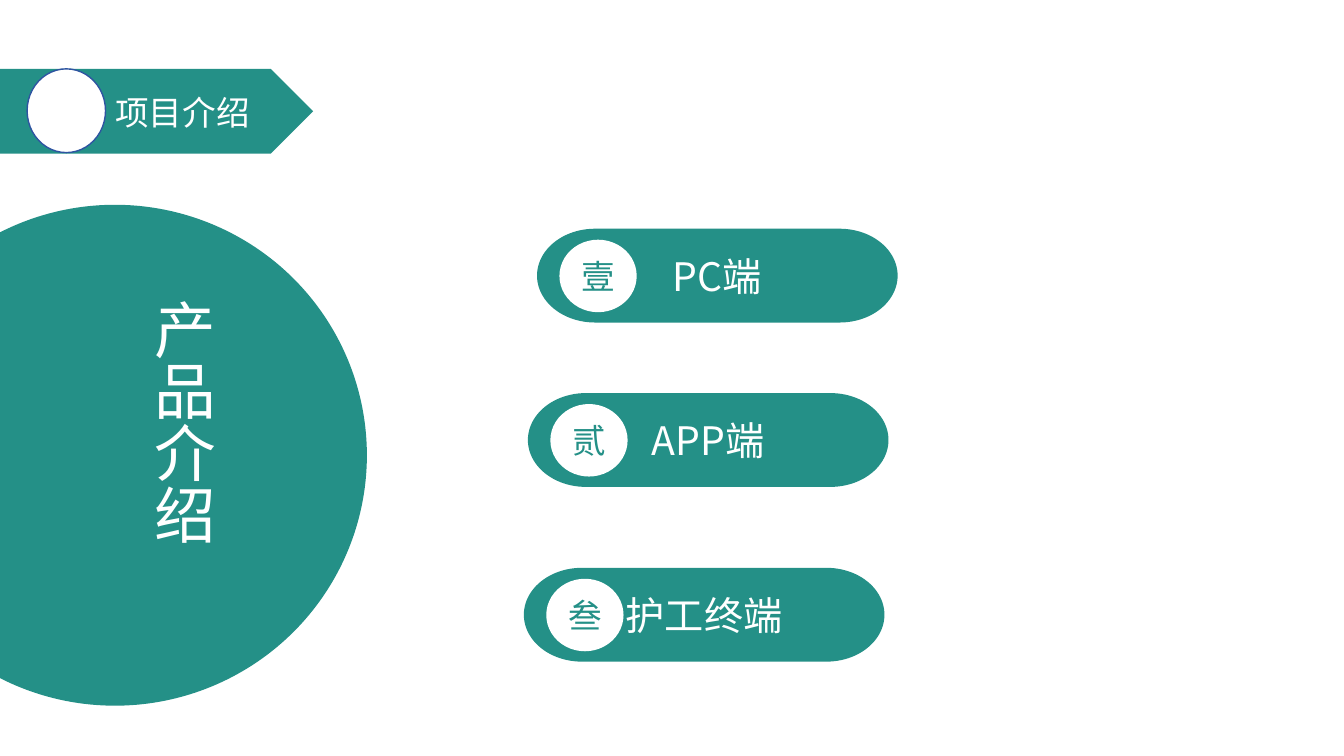
"""Build the product introduction slide with three numbered product ends."""
from lxml.etree import SubElement
from pptx import Presentation
from pptx.dml.color import RGBColor
from pptx.enum.shapes import MSO_SHAPE
from pptx.enum.text import MSO_ANCHOR, MSO_AUTO_SIZE, PP_ALIGN
from pptx.oxml.ns import qn
from pptx.util import Pt

COLORS = {"teal": "249087", "white": "FFFFFF", "navy": "2E54A1"}
FONT = "Noto Sans CJK JP"


def paint(shape, fill, line=None):
    shape.shadow.inherit = False
    shape.fill.solid()
    shape.fill.fore_color.rgb = RGBColor.from_string(COLORS[fill])
    if line:
        shape.line.color.rgb = RGBColor.from_string(COLORS[line])
        shape.line.width = Pt(1)
    else:
        shape.line.fill.background()
    return shape


def write(shape, text, size, color="white", align=PP_ALIGN.CENTER,
          anchor=MSO_ANCHOR.MIDDLE, wrap=False, fit=MSO_AUTO_SIZE.NONE):
    frame = shape.text_frame
    frame.word_wrap = wrap
    frame.auto_size = fit
    frame.vertical_anchor = anchor
    paragraph = frame.paragraphs[0]
    paragraph.alignment = align
    run = paragraph.add_run()
    run.text = text
    run.font.size = Pt(size)
    run.font.name = FONT
    run.font.color.rgb = RGBColor.from_string(COLORS[color])
    SubElement(run._r.get_or_add_rPr(), qn("a:ea")).set("typeface", FONT)


deck = Presentation()
deck.slide_width, deck.slide_height = Pt(960), Pt(540)
slide = deck.slides.add_slide(deck.slide_layouts[6])
shapes = slide.shapes

paint(shapes.add_shape(MSO_SHAPE.PENTAGON, Pt(0), Pt(49.2), Pt(223.7), Pt(60.5)), "teal")
paint(shapes.add_shape(MSO_SHAPE.OVAL, Pt(19.4), Pt(49.2), Pt(56), Pt(59.8)),
      "white", "navy")

section = shapes.add_textbox(Pt(75.2), Pt(61.9), Pt(123.1), Pt(36))
write(section, "项目介绍", 24, align=PP_ALIGN.LEFT, anchor=MSO_ANCHOR.TOP, wrap=True,
      fit=MSO_AUTO_SIZE.SHAPE_TO_FIT_TEXT)

paint(shapes.add_shape(MSO_SHAPE.OVAL, Pt(-97.9), Pt(146.3), Pt(360), Pt(357.8)), "teal")

product_ends = [
    ("壹", "PC端", 383.6, 163.4),
    ("贰", "APP端", 377.1, 280.8),
    ("叁", "护工终端", 374.2, 405.6),
]
for numeral, product, left, top in product_ends:
    pill = shapes.add_shape(MSO_SHAPE.FLOWCHART_TERMINATOR,
                            Pt(left), Pt(top), Pt(257.6), Pt(67))
    write(paint(pill, "teal"), product, 28)
    badge = shapes.add_shape(MSO_SHAPE.OVAL,
                             Pt(left + 16), Pt(top + 7.8), Pt(55.2), Pt(51.8))
    write(paint(badge, "white"), numeral, 24, color="teal")

headline = shapes.add_textbox(Pt(92.9), Pt(206.6), Pt(67.7), Pt(215.3))
write(headline, "产品介绍", 44, anchor=MSO_ANCHOR.TOP, wrap=True,
      fit=MSO_AUTO_SIZE.SHAPE_TO_FIT_TEXT)
headline.text_frame._txBody.bodyPr.set("vert", "eaVert")

deck.save("out.pptx")
